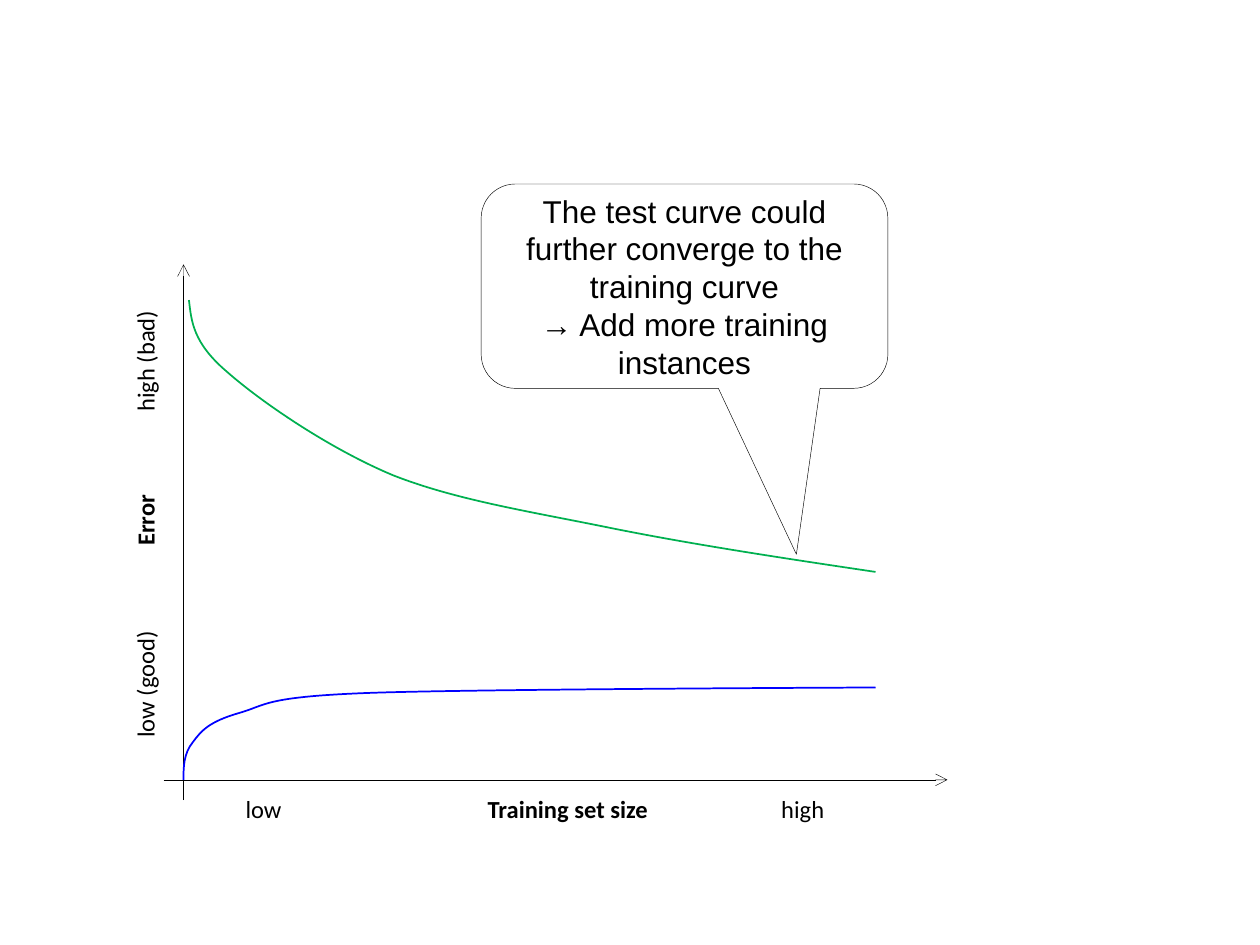
"""Builds a slide with learning curves that call for more training instances."""
from lxml.etree import SubElement
from pptx import Presentation
from pptx.dml.color import RGBColor
from pptx.enum.shapes import MSO_CONNECTOR, MSO_SHAPE
from pptx.enum.text import MSO_ANCHOR, PP_ALIGN
from pptx.oxml.ns import qn
from pptx.util import Cm, Pt

BLACK = RGBColor(0x00, 0x00, 0x00)
WHITE = RGBColor(0xFF, 0xFF, 0xFF)
BLUE = RGBColor(0x00, 0x00, 0xFF)
GREEN = RGBColor(0x00, 0xB0, 0x50)

AXES = [((3.3, 15.72), (19.1, 15.72)), ((3.7, 16.13), (3.7, 5.33))]
AXIS_LABELS = [
    {"words": ("low", "Training set size", "high"), "tabs": (4.88, 10.8),
     "box": (4.7, 15.88, 12.17, 0.86), "rotation": 0},
    {"words": ("low (good)", "Error", "high (bad)"), "tabs": (3.87, 6.57),
     "box": (-1.63, 10.13, 9.12, 0.86), "rotation": 270},
]

TRAINING_CURVE = [
    (3.7, 15.72), (3.7, 15.47), (3.7, 15.19), (3.89, 14.96),
    (4.06, 14.73), (4.22, 14.55), (4.8, 14.38),
    (5.38, 14.22), (5.28, 14.05), (7.42, 13.97),
    (9.55, 13.89), (17.65, 13.86), (17.65, 13.86),
]
TEST_CURVE = [
    (3.81, 6.05), (3.86, 6.48), (3.89, 6.91), (4.57, 7.49),
    (5.26, 8.1), (6.63, 9.04), (7.92, 9.58),
    (9.19, 10.08), (10.67, 10.31), (12.29, 10.64),
    (13.92, 10.97), (15.77, 11.25), (17.65, 11.53),
]

ADVICE = [
    "The test curve could further converge to the training curve",
    "→ Add more training instances",
]
ADVICE_BOX = (9.7, 3.71, 8.2, 4.12)
ADVICE_POINTER = (0.275, 1.312, 0.167)


def set_font(font, name, size):
    font.name, font.size = name, Pt(size)
    font.color.rgb = BLACK


def add_axis(slide, start, end):
    axis = slide.shapes.add_connector(MSO_CONNECTOR.STRAIGHT, *map(Cm, start + end))
    axis.line.color.rgb = BLACK
    axis.line.width = Pt(0.25)
    SubElement(axis.line._get_or_add_ln(), qn("a:tailEnd"), type="arrow")
    SubElement(axis._element.spPr, qn("a:effectLst"))


def add_axis_label(slide, words, tabs, box, rotation):
    label = slide.shapes.add_textbox(*map(Cm, box))
    label.rotation = rotation
    frame = label.text_frame
    frame.word_wrap = True
    frame.margin_right = 0
    paragraph = frame.paragraphs[0]
    tab_list = SubElement(paragraph._p.get_or_add_pPr(), qn("a:tabLst"))
    for position in tabs:
        SubElement(tab_list, qn("a:tab"), pos=str(Cm(position)), algn="l")
    set_font(paragraph.font, "Calibri", 14)
    low, quantity, high = words
    for text, bold in ((low + "\t", False), (quantity + "\t", True), (high, False)):
        run = paragraph.add_run()
        run.text = text
        run.font.bold = bold


def add_curve(slide, controls, color):
    start, *rest = [tuple(map(Cm, point)) for point in controls]
    builder = slide.shapes.build_freeform(*start)
    builder.add_line_segments(rest, close=False)
    curve = builder.convert_to_shape()
    outline = next(curve._element.iter(qn("a:path")))
    segments = outline.findall(qn("a:lnTo"))
    for first in range(0, len(segments), 3):
        bend = SubElement(outline, qn("a:cubicBezTo"))
        for segment in segments[first:first + 3]:
            bend.append(segment[0])
            outline.remove(segment)
    curve.shadow.inherit = False
    curve.fill.background()
    curve.line.color.rgb = color
    curve.line.width = Pt(1)


def add_advice(slide):
    callout = slide.shapes.add_shape(MSO_SHAPE.ROUNDED_RECTANGULAR_CALLOUT, *map(Cm, ADVICE_BOX))
    for index, value in enumerate(ADVICE_POINTER):
        callout.adjustments[index] = value
    callout.shadow.inherit = False
    callout.fill.solid()
    callout.fill.fore_color.rgb = WHITE
    callout.line.color.rgb = BLACK
    callout.line.width = Pt(0.25)
    frame = callout.text_frame
    frame.word_wrap = True
    frame.vertical_anchor = MSO_ANCHOR.MIDDLE
    frame.text = "\n".join(ADVICE)
    for paragraph in frame.paragraphs:
        paragraph.alignment = PP_ALIGN.CENTER
        set_font(paragraph.font, "Arial", 18)


def main():
    deck = Presentation()
    deck.slide_width, deck.slide_height = Cm(25.4), Cm(19.05)
    slide = deck.slides.add_slide(deck.slide_layouts[6])
    for start, end in AXES:
        add_axis(slide, start, end)
    for label in AXIS_LABELS:
        add_axis_label(slide, **label)
    add_curve(slide, TRAINING_CURVE, BLUE)
    add_advice(slide)
    add_curve(slide, TEST_CURVE, GREEN)
    deck.save("out.pptx")


if __name__ == "__main__":
    main()
